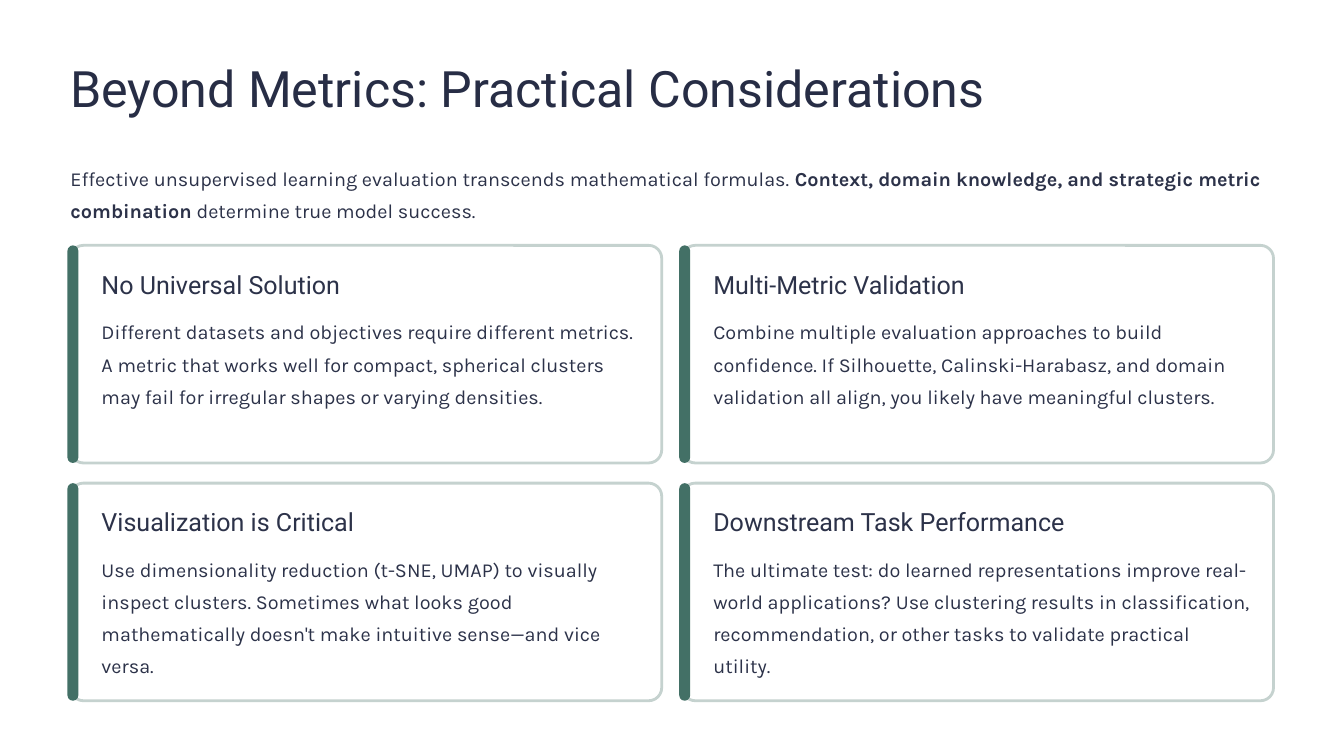
from pptx import Presentation
from pptx.dml.color import RGBColor
from pptx.enum.shapes import MSO_SHAPE
from pptx.enum.text import MSO_ANCHOR, MSO_AUTO_SIZE, PP_ALIGN
from pptx.util import Cm, Pt

ROUNDED = MSO_SHAPE.ROUNDED_RECTANGLE
TOP, LEFT, NO_FIT = MSO_ANCHOR.TOP, PP_ALIGN.LEFT, MSO_AUTO_SIZE.NONE

TITLE = "Beyond Metrics: Practical Considerations"
INTRO = [
    ("Effective unsupervised learning evaluation transcends mathematical formulas. ", False),
    ("Context, domain knowledge, and strategic metric combination", True),
    (" determine true model success.", False),
]
CONSIDERATIONS = [
    ("No Universal Solution",
     "Different datasets and objectives require different metrics. A metric that works well for "
     "compact, spherical clusters may fail for irregular shapes or varying densities."),
    ("Multi-Metric Validation",
     "Combine multiple evaluation approaches to build confidence. If Silhouette, "
     "Calinski-Harabasz, and domain validation all align, you likely have meaningful clusters."),
    ("Visualization is Critical",
     "Use dimensionality reduction (t-SNE, UMAP) to visually inspect clusters. Sometimes what "
     "looks good mathematically doesn't make intuitive sense—and vice versa."),
    ("Downstream Task Performance",
     "The ultimate test: do learned representations improve real-world applications? Use "
     "clustering results in classification, recommendation, or other tasks to validate "
     "practical utility."),
]

COLORS = {"title": "272D45", "text": "2C3249", "card": "FFFFFF",
          "border": "C5D2CF", "accent": "437066"}
FORMATS = {
    "title": {"name": "Roboto", "size": Pt(43), "color": "title", "spacing": Pt(53.5)},
    "heading": {"name": "Roboto", "size": Pt(21.5), "color": "text", "spacing": Pt(26.5)},
    "body": {"name": "Karla", "size": Pt(17), "color": "text", "spacing": Pt(27.5)},
}
FRAME = {"margin_left": 0, "margin_top": 0, "margin_right": 0, "margin_bottom": 0,
         "word_wrap": True, "auto_size": NO_FIT, "vertical_anchor": TOP}

MARGIN, CONTENT_WIDTH = 2.13, 36.4
CARDS_TOP, CARD_WIDTH, CARD_HEIGHT = 7.42, 17.88, 6.58
COLUMN_STEP, ROW_STEP = 18.5, 7.19
BAR_WIDTH, BAR_SHIFT = 0.33, 0.09
TEXT_INSET, TEXT_WIDTH = 0.94, 16.26


def color(key):
    return RGBColor.from_string(COLORS[key])


def write(holder, runs, kind):
    style = FORMATS[kind]
    frame = holder.text_frame
    for attribute, value in FRAME.items():
        setattr(frame, attribute, value)
    paragraph = frame.paragraphs[0]
    paragraph.alignment = LEFT
    paragraph.line_spacing = style["spacing"]
    for text, bold in runs:
        run = paragraph.add_run()
        run.text = text
        for attribute in ("name", "size"):
            setattr(run.font, attribute, style[attribute])
        run.font.bold = bold
        run.font.color.rgb = color(style["color"])


def add_text(slide, box, runs, kind):
    write(slide.shapes.add_textbox(*map(Cm, box)), runs, kind)


def add_rounded(slide, box, radius, fill, border=None):
    panel = slide.shapes.add_shape(ROUNDED, *map(Cm, box))
    panel.adjustments[0] = radius
    panel.shadow.inherit = False
    panel.fill.solid()
    panel.fill.fore_color.rgb = color(fill)
    if border:
        panel.line.color.rgb = color(border)
        panel.line.width = Pt(2.4)
    else:
        panel.line.fill.background()


def add_consideration(slide, left, top, heading, detail):
    add_rounded(slide, (left, top, CARD_WIDTH, CARD_HEIGHT), 0.06, "card", "border")
    add_rounded(slide, (left - BAR_SHIFT, top, BAR_WIDTH, CARD_HEIGHT), 0.5, "accent")
    text_left = left + TEXT_INSET
    add_text(slide, (text_left, top + 0.69, TEXT_WIDTH, 0.94), [(heading, False)], "heading")
    add_text(slide, (text_left, top + 2.01, TEXT_WIDTH, 3.89), [(detail, False)], "body")


def main():
    deck = Presentation()
    deck.slide_width, deck.slide_height = Cm(40.64), Cm(22.86)
    slide = deck.slides.add_slide(deck.slide_layouts[5])

    title = slide.shapes.title
    title.left, title.top, title.width, title.height = map(
        Cm, (MARGIN, 1.68, CONTENT_WIDTH, 1.9))
    write(title, [(TITLE, False)], "title")
    add_text(slide, (MARGIN, 4.78, CONTENT_WIDTH, 1.96), INTRO, "body")

    for index, (heading, detail) in enumerate(CONSIDERATIONS):
        row, column = divmod(index, 2)
        add_consideration(slide, MARGIN + column * COLUMN_STEP,
                          CARDS_TOP + row * ROW_STEP, heading, detail)

    deck.save("out.pptx")


if __name__ == "__main__":
    main()
